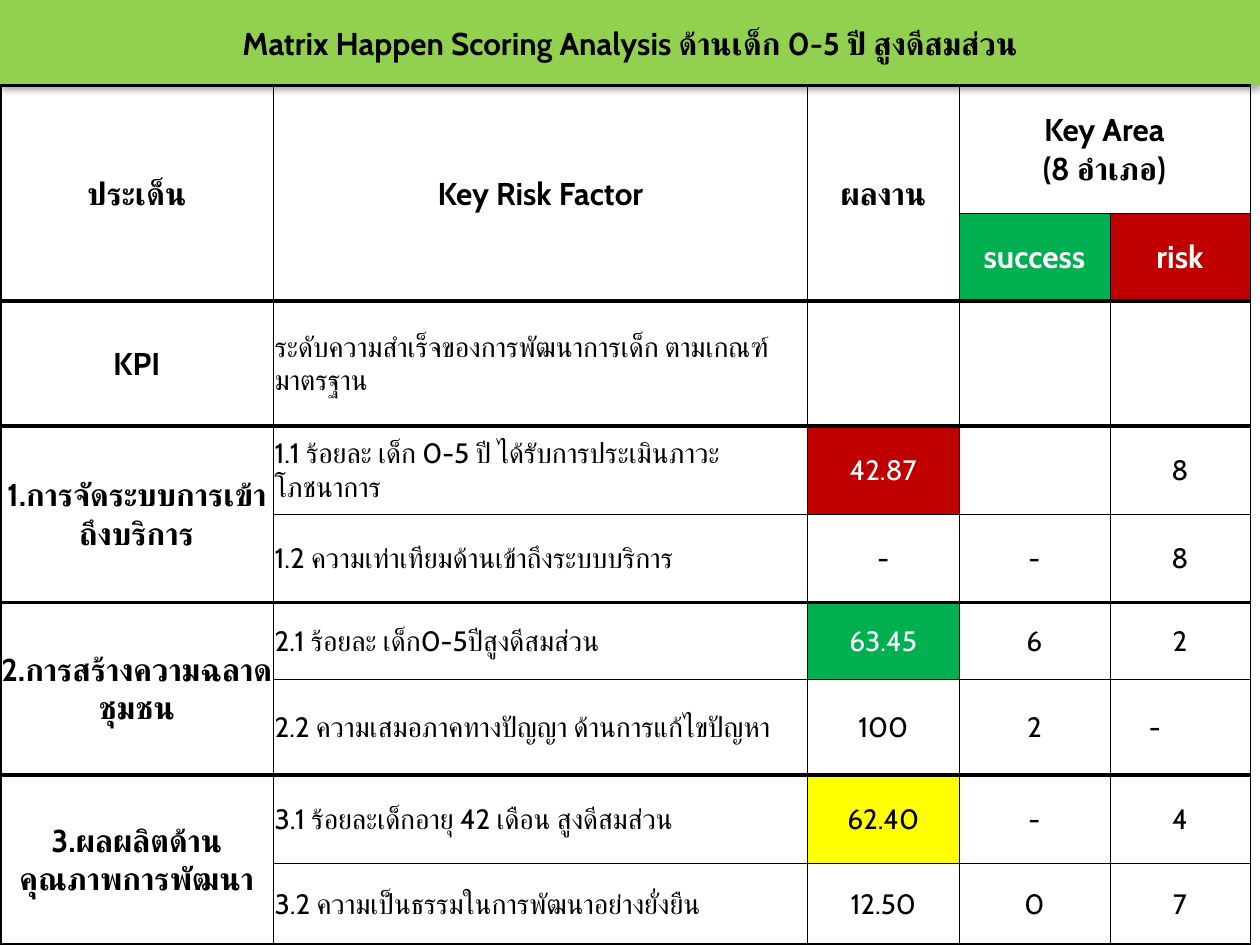
"""Build a risk-factor scoring matrix slide for child growth."""
from dataclasses import dataclass
from typing import Optional

from lxml.etree import SubElement
from pptx import Presentation
from pptx.dml.color import RGBColor
from pptx.enum.shapes import MSO_SHAPE
from pptx.enum.text import MSO_ANCHOR, PP_ALIGN
from pptx.oxml import parse_xml
from pptx.oxml.ns import nsdecls, qn
from pptx.util import Inches, Pt

FONT = "Cabin"
BLACK, WHITE = "000000", "FFFFFF"
GREEN, RED, YELLOW, LIME = "00B050", "C00000", "FFFF00", "92D050"
THICK, THIN = 2.25, 0.25
COLUMN_WIDTHS = [2.17, 4.24, 1.2, 1.2, 1.11]
ROW_HEIGHTS = [1.01, 0.7, 0.99, 0.7, 0.7, 0.61, 0.76, 0.7, 0.65]
THICK_ROW_EDGES = {0, 2, 3, 5, 7, 9}
CELL_MARGINS = {"margin_left": Inches(0.01), "margin_right": Inches(0.01),
                "margin_top": Inches(0.01), "margin_bottom": 0}


@dataclass
class Entry:
    text: str = ""
    bold: bool = False
    color: str = BLACK
    fill: Optional[str] = None
    align: PP_ALIGN = PP_ALIGN.CENTER
    rows: int = 1
    columns: int = 1
    margin_right: float = 0.01


def heading(text: str, **options) -> Entry:
    return Entry(text, bold=True, **options)


def factor(text: str) -> Entry:
    return Entry(text, align=PP_ALIGN.LEFT)


MATRIX = [
    [heading("ประเด็น", rows=2), heading("Key Risk Factor", rows=2),
     heading("ผลงาน", rows=2), heading("Key Area\n(8 อำเภอ)", columns=2), None],
    [None, None, None, heading("success", color=WHITE, fill=GREEN),
     heading("risk", color=WHITE, fill=RED)],
    [heading("KPI"), factor("ระดับความสำเร็จของการพัฒนาการเด็ก ตามเกณฑ์มาตรฐาน"),
     Entry(), Entry(), Entry()],
    [heading("1.การจัดระบบการเข้าถึงบริการ", rows=2),
     factor("1.1 ร้อยละ เด็ก 0-5 ปี ได้รับการประเมินภาวะโภชนาการ"),
     Entry("42.87", color=WHITE, fill=RED), Entry(), Entry("8")],
    [None, factor("1.2 ความเท่าเทียมด้านเข้าถึงระบบบริการ"),
     Entry("-"), Entry("-"), Entry("8")],
    [heading("2.การสร้างความฉลาดชุมชน", rows=2),
     factor("2.1 ร้อยละ เด็ก0-5ปีสูงดีสมส่วน"),
     Entry("63.45", color=WHITE, fill=GREEN), Entry("6"), Entry("2")],
    [None, factor("2.2 ความเสมอภาคทางปัญญา ด้านการแก้ไขปัญหา"),
     Entry("100"), Entry("2"), Entry("-", margin_right=0.41)],
    [heading("3.ผลผลิตด้านคุณภาพการพัฒนา", rows=2),
     factor("3.1 ร้อยละเด็กอายุ 42 เดือน สูงดีสมส่วน"),
     Entry("62.40", fill=YELLOW), Entry("-"), Entry("4")],
    [None, factor("3.2 ความเป็นธรรมในการพัฒนาอย่างยั่งยืน"),
     Entry("12.50"), Entry("0"), Entry("7")],
]


def rgb(color: str) -> RGBColor:
    return RGBColor.from_string(color)


def apply(target, values: dict) -> None:
    for name, value in values.items():
        setattr(target, name, value)


def write_text(text_frame, entry: Entry) -> None:
    text_frame.text = entry.text
    for paragraph in text_frame.paragraphs:
        paragraph.alignment = entry.align
        for run in paragraph.runs:
            apply(run.font, {"name": FONT, "size": Pt(18 if entry.bold else 16),
                             "bold": entry.bold})
            run.font.color.rgb = rgb(entry.color)
            SubElement(run.font._element, qn("a:cs"), typeface=FONT)


def set_borders(cell, widths: dict) -> None:
    properties = cell._tc.get_or_add_tcPr()
    for index, (side, width) in enumerate(widths.items()):
        properties.insert(index, parse_xml(
            f'<a:ln{side} {nsdecls("a")} w="{Pt(width)}"><a:solidFill>'
            f'<a:srgbClr val="{BLACK}"/></a:solidFill></a:ln{side}>'))


def edge_width(row: int) -> float:
    return THICK if row in THICK_ROW_EDGES else THIN


def fill_cell(table, row: int, column: int, entry: Entry) -> None:
    cell = table.cell(row, column)
    last_row, last_column = row + entry.rows - 1, column + entry.columns - 1
    if entry.rows * entry.columns > 1:
        cell.merge(table.cell(last_row, last_column))
    apply(cell, CELL_MARGINS | {"margin_right": Inches(entry.margin_right),
                                "vertical_anchor": MSO_ANCHOR.MIDDLE})
    write_text(cell.text_frame, entry)
    widths = {"L": THIN if column else THICK, "R": THIN,
              "T": edge_width(row), "B": edge_width(last_row + 1)}
    for spanned_row in range(row, last_row + 1):
        for spanned_column in range(column, last_column + 1):
            part = table.cell(spanned_row, spanned_column)
            if entry.fill:
                part.fill.solid()
                part.fill.fore_color.rgb = rgb(entry.fill)
            else:
                part.fill.background()
            set_borders(part, widths)


def add_title(slide, text: str) -> None:
    group = slide.shapes.add_group_shape()
    band = group.shapes.add_shape(MSO_SHAPE.RECTANGLE, 0, 0, Inches(10), Inches(0.68))
    band.fill.solid()
    band.fill.fore_color.rgb = rgb(LIME)
    band.line.fill.background()
    band._element.spPr.append(parse_xml(
        f'<a:effectLst {nsdecls("a")}><a:outerShdw blurRad="{Pt(4)}" dist="{Pt(2.2)}" '
        f'dir="5400000" rotWithShape="0"><a:srgbClr val="{BLACK}">'
        '<a:alpha val="32000"/></a:srgbClr></a:outerShdw></a:effectLst>'))
    box = group.shapes.add_textbox(0, Inches(0.14), Inches(10), Inches(0.4))
    margins = {f"margin_{side}": Inches(0.05) for side in ("left", "right", "top", "bottom")}
    apply(box.text_frame, margins | {"word_wrap": True,
                                     "vertical_anchor": MSO_ANCHOR.MIDDLE})
    write_text(box.text_frame, heading(text))


def add_matrix(slide) -> None:
    table = slide.shapes.add_table(len(ROW_HEIGHTS), len(COLUMN_WIDTHS), 0, Inches(0.68),
                                   Inches(sum(COLUMN_WIDTHS)), Inches(sum(ROW_HEIGHTS))).table
    apply(table, {"first_row": False, "horz_banding": False})
    for column, width in zip(table.columns, COLUMN_WIDTHS):
        column.width = Inches(width)
    for row, height in zip(table.rows, ROW_HEIGHTS):
        row.height = Inches(height)
    for row_index, entries in enumerate(MATRIX):
        for column_index, entry in enumerate(entries):
            if entry:
                fill_cell(table, row_index, column_index, entry)


def main() -> None:
    presentation = Presentation()
    apply(presentation, {"slide_width": Inches(10), "slide_height": Inches(7.5)})
    slide = presentation.slides.add_slide(presentation.slide_layouts[6])
    add_title(slide, "Matrix Happen Scoring Analysis ด้านเด็ก 0-5 ปี สูงดีสมส่วน")
    add_matrix(slide)
    presentation.save("out.pptx")


if __name__ == "__main__":
    main()
